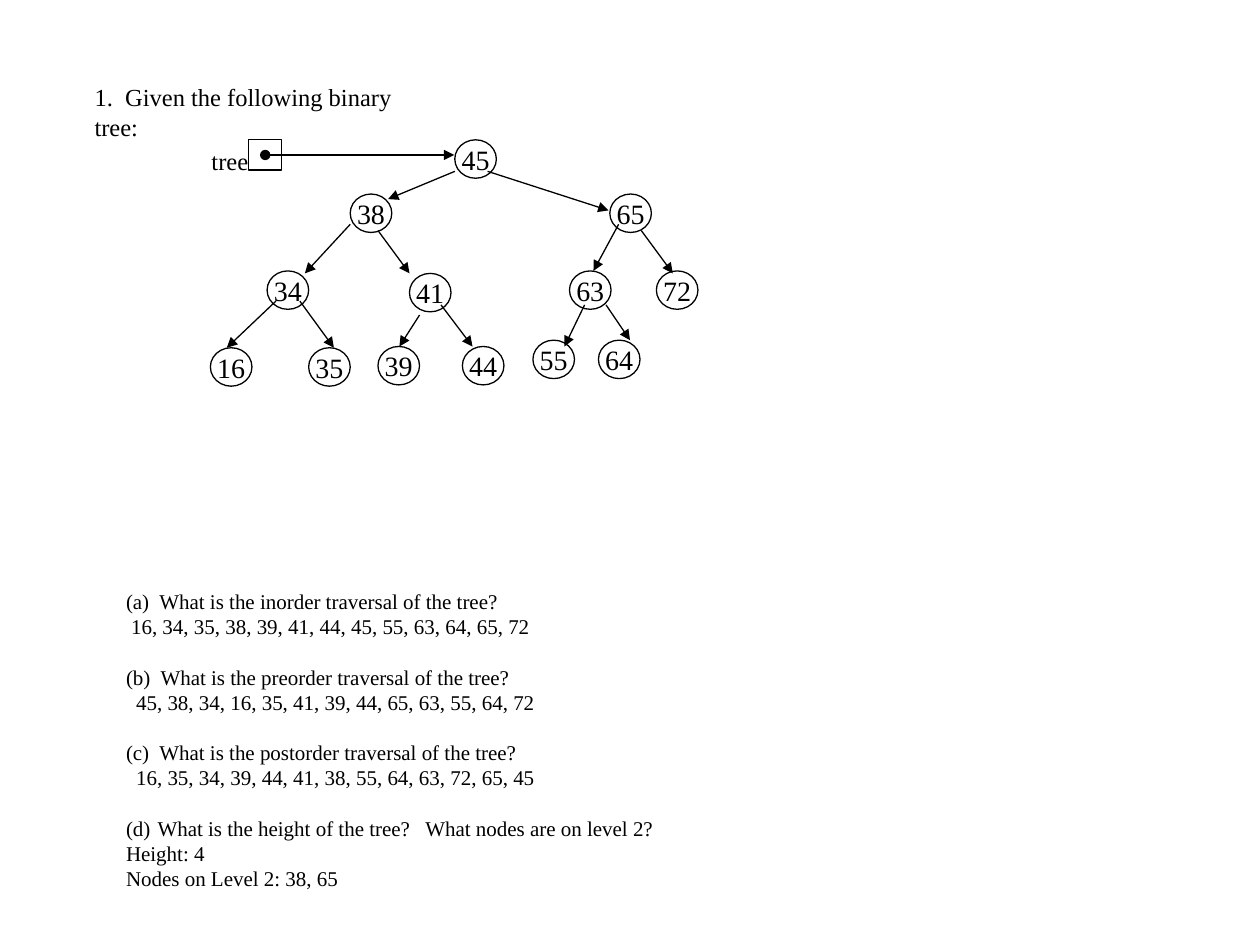
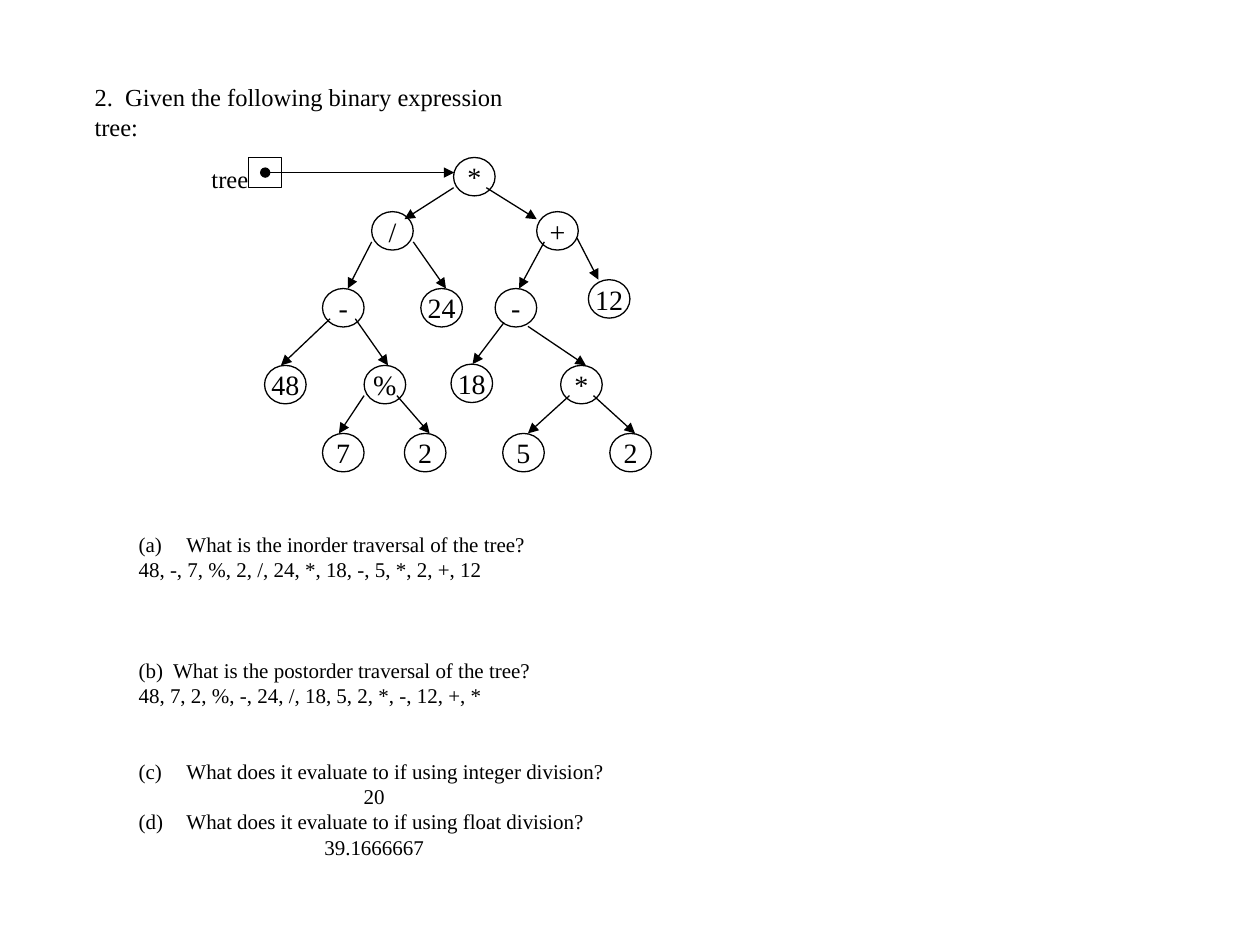
from pptx import Presentation, util as u
from pptx.dml.color import RGBColor
from pptx.enum import shapes, text
from pptx.oxml.ns import qn
from lxml import etree

DARK = RGBColor.from_string("000000")
FONT = "Times New Roman"
COLS = 100
NODE = 3.3, 3.05
LEAD = 1.2
MID, LEFT = text.PP_ALIGN.CENTER, text.PP_ALIGN.LEFT

deck = Presentation()
deck.slide_width, deck.slide_height = u.Inches(10), u.Inches(7.5)


def grid(*spans):
    return [round(span * deck.slide_width / COLS) for span in spans]


def write(para, words, size, align=LEFT):
    run = para.add_run()
    run.text = words
    run.font.name, run.font.size = FONT, u.Pt(size)
    run.font.color.rgb = DARK
    para.alignment = align


pages = [
    {
        "title": "1.  Given the following binary tree:",
        "wide": 29.3,
        "body": (9, 46.2, 44.5, 25.2),
        "top": 11.1,
        "nodes": [
            ("45", 36.1, 11.1), ("38", 27.8, 15.4), ("65", 48.4, 15.4),
            ("34", 21.2, 21.5), ("41", 32.5, 21.7), ("63", 45.2, 21.5),
            ("72", 52.1, 21.5), ("16", 16.7, 27.6), ("35", 24.5, 27.6),
            ("39", 30, 27.5), ("44", 36.7, 27.5), ("55", 42.3, 27),
            ("64", 47.5, 27),
        ],
        "edges": [
            (36.1, 13.6, 30.8, 15.8), (38.7, 13.6, 48.3, 16.7),
            (27.8, 17.8, 24.2, 21.7), (30, 18.3, 32.5, 21.7),
            (49.1, 17.8, 47.1, 21.5), (50.9, 18.3, 53.4, 21.7),
            (21.9, 23.9, 18, 27.6), (23.8, 23.9, 26.5, 27.6),
            (33.3, 25, 31.7, 27.5), (35, 24.2, 37.5, 27.5),
            (46.4, 24.2, 44.8, 27.5), (48.1, 24.2, 50, 27),
        ],
        # lines: number, words, blank lines above, indent, alignment
        "lines": [
            (0, "(a)  What is the inorder traversal of the tree?", 0, 0, LEFT),
            (0, "16, 34, 35, 38, 39, 41, 44, 45, 55, 63, 64, 65, 72", 0, 0.4, LEFT),
            (0, "(b)  What is the preorder traversal of the tree?", 1, 0, LEFT),
            (0, "45, 38, 34, 16, 35, 41, 39, 44, 65, 63, 55, 64, 72", 0, 0.8, LEFT),
            (0, "(c)  What is the postorder traversal of the tree?", 1, 0, LEFT),
            (0, "16, 35, 34, 39, 44, 41, 38, 55, 64, 63, 72, 65, 45", 0, 0.8, LEFT),
            (4, "What is the height of the tree?   What nodes are on level 2?", 1, 2.5, LEFT),
            (0, "Height: 4", 0, 0, LEFT),
            (0, "Nodes on Level 2: 38, 65", 0, 0, LEFT),
        ],
    },
    {
        "title": "2.  Given the following binary expression tree:",
        "wide": 38.1,
        "body": (10, 41.7, 39.4, 31.3),
        "top": 12.5,
        "nodes": [
            ("*", 36, 12.5), ("/", 29.5, 16.8), ("+", 42.6, 16.8),
            ("-", 25.6, 22.9), ("24", 33.4, 22.9), ("-", 39.3, 22.9),
            ("12", 46.7, 22.2), ("48", 21, 29), ("%", 28.9, 29),
            ("18", 35.8, 28.9), ("*", 44.5, 29), ("7", 25.6, 34.4),
            ("2", 32.1, 34.4), ("5", 39.9, 34.4), ("2", 48.4, 34.4),
        ],
        "edges": [
            (36, 14.9, 32.1, 17.4), (38.6, 14.9, 42.6, 17.4),
            (29.5, 19.2, 27.6, 22.9), (32.8, 19.2, 35.4, 22.9),
            (43.2, 19.2, 41.2, 22.9), (45.8, 18.9, 47.5, 22.2),
            (26.2, 25.3, 22.3, 29), (28.2, 25.3, 30.8, 29),
            (40, 25.6, 37.5, 28.9), (41.9, 25.9, 46.5, 29),
            (28.9, 31.4, 26.9, 34.4), (31.5, 31.4, 34.1, 34.4),
            (45.2, 31.4, 41.9, 34.4), (47.1, 31.4, 50.4, 34.4),
        ],
        "lines": [
            (1, "What is the inorder traversal of the tree?", 0, 3.8, LEFT),
            (0, "48, -, 7, %, 2, /, 24, *, 18, -, 5, *, 2, +, 12", 0, 0, LEFT),
            (0, "(b)  What is the postorder traversal of the tree?", 3, 0, LEFT),
            (0, "48, 7, 2, %, -, 24, /, 18, 5, 2, *, -, 12, +, *", 0, 0, LEFT),
            (3, "What does it evaluate to if using integer division?", 2, 3.8, LEFT),
            (0, "20", 0, 0, MID),
            (4, "What does it evaluate to if using float division?", 0, 3.8, LEFT),
            (0, "39.1666667", 0, 0, MID),
        ],
    },
]

for page in pages:
    slide = deck.slides.add_slide(deck.slide_layouts[1])
    title, body = slide.placeholders
    for box, area in (title, (6.5, 6, page["wide"], 5.8)), (body, page["body"]):
        box.left, box.top, box.width, box.height = grid(*area)
        box.text_frame.word_wrap = True
        box.text_frame.auto_size = text.MSO_AUTO_SIZE.NONE
        box.text_frame.vertical_anchor = text.MSO_ANCHOR.TOP

    head = title.text_frame.paragraphs[0]
    write(head, page["title"], 14)
    head.line_spacing = u.Pt(17)

    for row, (num, words, gap, dent, align) in enumerate(page["lines"]):
        para = body.text_frame.paragraphs[0] if row == 0 else body.text_frame.add_paragraph()
        write(para, words, 12, align)
        para.line_spacing = u.Pt(12 * LEAD)
        para.space_before = u.Pt(12 * LEAD * gap)
        left, hang = grid(dent, -dent if num else 0)
        prop = para._p.get_or_add_pPr()
        prop.set("marL", str(left))
        prop.set("indent", str(hang))
        if num:
            mark = etree.SubElement(prop, qn("a:buAutoNum"))
            mark.set("type", "alphaLcParenBoth")
            mark.set("startAt", str(num))
        else:
            etree.SubElement(prop, qn("a:buNone"))

    tree = slide.shapes.add_group_shape().shapes
    top = page["top"]
    oval, rect = shapes.MSO_SHAPE.OVAL, shapes.MSO_SHAPE.RECTANGLE
    cells = [(oval, words, x, y, *NODE) for words, x, y in page["nodes"]]
    cells.append((rect, "", 19.75, top, 2.6, 2.4))
    for kind, words, *area in cells:
        cell = tree.add_shape(kind, *grid(*area))
        cell.shadow.inherit = False
        cell.fill.background()
        cell.line.color.rgb, cell.line.width = DARK, u.Pt(0.75)
        if words:
            cell.text_frame.word_wrap = False
            cell.text_frame.vertical_anchor = text.MSO_ANCHOR.MIDDLE
            write(cell.text_frame.paragraphs[0], words, 16, MID)

    label = tree.add_textbox(*grid(15.8, top, 4.9, 3.3)).text_frame
    label.word_wrap = False
    write(label.paragraphs[0], "tree", 14)

    root = (21.05, top + 1.2, 36.05, top + 1.2)
    for edge in [root] + page["edges"]:
        line = tree.add_connector(shapes.MSO_CONNECTOR.STRAIGHT, *grid(*edge))
        line.line.color.rgb, line.line.width = DARK, u.Pt(0.75)
        stroke = line.line._get_or_add_ln()
        if edge == root:
            etree.SubElement(stroke, qn("a:headEnd")).set("type", "oval")
        etree.SubElement(stroke, qn("a:tailEnd")).set("type", "triangle")
        etree.SubElement(line._element.spPr, qn("a:effectLst"))

deck.save("out.pptx")
